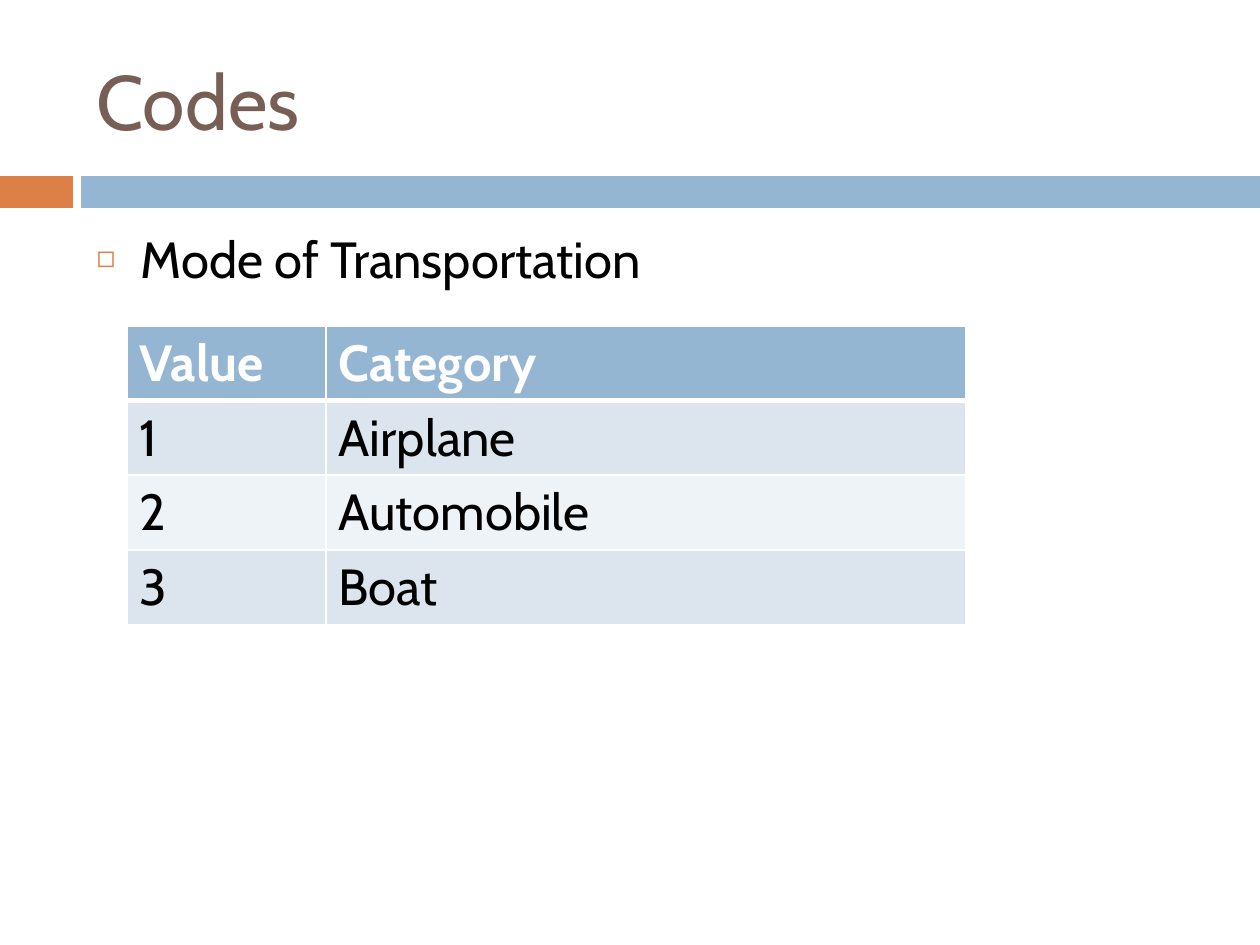
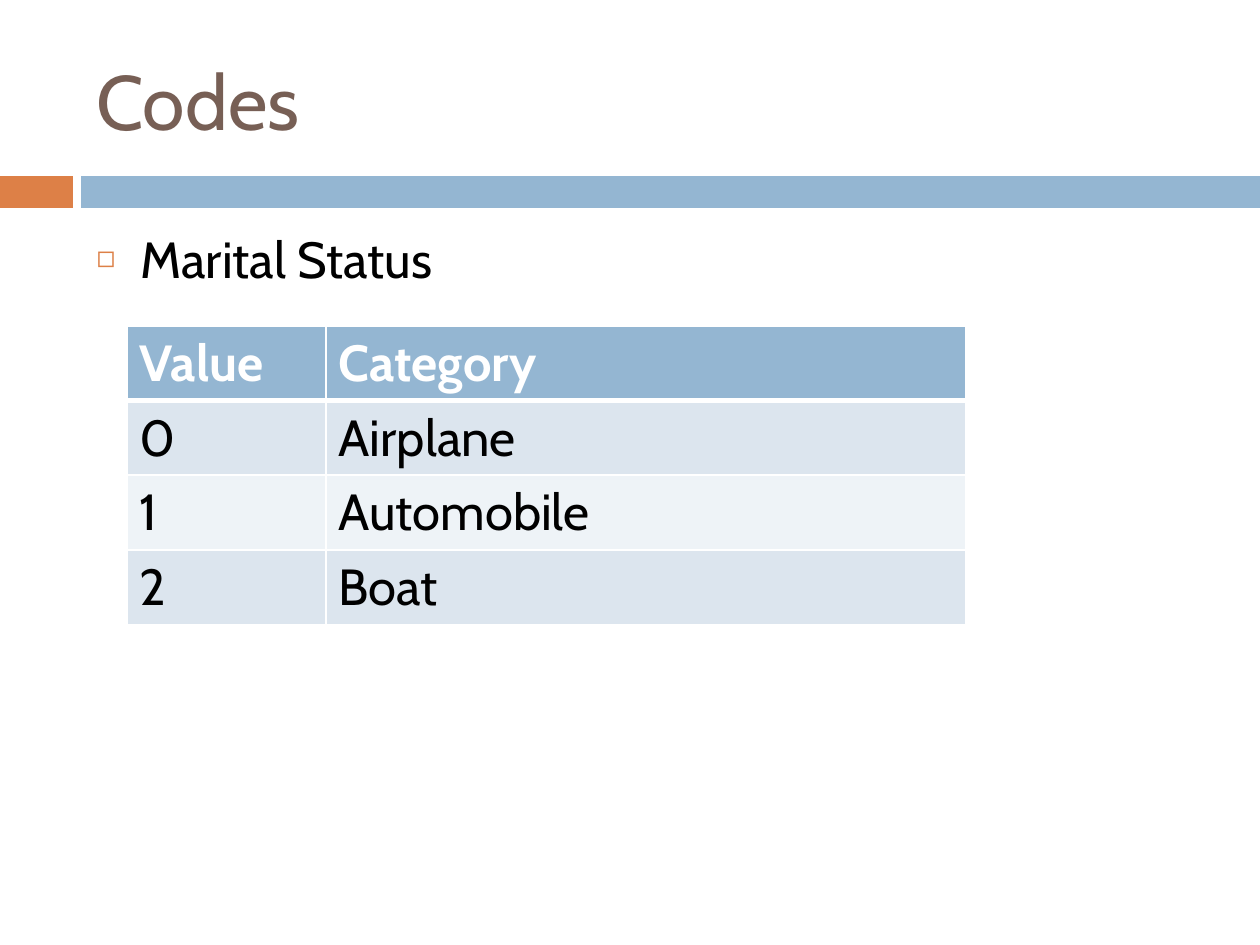
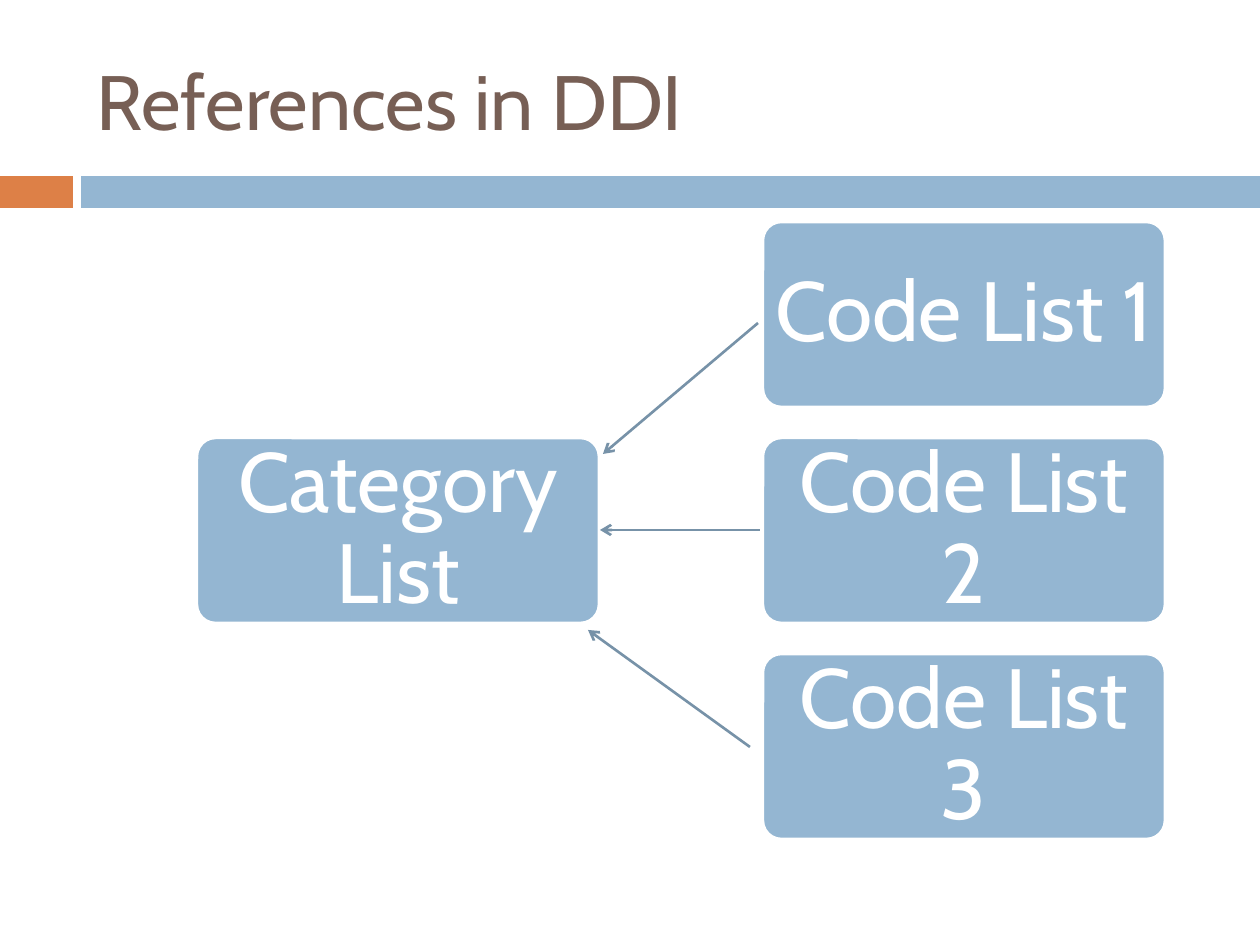
from lxml import etree
from pptx import Presentation
from pptx.dml.color import RGBColor
from pptx.enum import shapes, text
from pptx.oxml import parse_xml
from pptx.oxml.ns import nsdecls, qn
from pptx.util import Pt

PX = 7257  # EMU in one px, at 126 px to the inch
FONT = "Cabin"
BLUE, ORANGE, BROWN = "94B6D2", "DD8047", "775F55"
WHITE, BLACK, ARROW = "FFFFFF", "000000", "7792A8"
ROW_TINTS = ["EEF3F7", "DCE5EE"]
BANDS = [(0, 73, ORANGE), (81, 1179, BLUE)]


def paint(fill, colour):
    fill.solid()
    fill.fore_color.rgb = RGBColor.from_string(colour)


def write(frame, words, size=29, colour=BLACK, bold=False,
          align=text.PP_ALIGN.LEFT, anchor=text.MSO_ANCHOR.TOP, spacing=1.0):
    """Fill a text frame with one formatted paragraph and return it."""
    frame.word_wrap = True
    frame.auto_size = text.MSO_AUTO_SIZE.NONE
    frame.vertical_anchor = anchor
    paragraph = frame.paragraphs[0]
    paragraph.alignment = align
    paragraph.line_spacing = spacing
    paragraph.space_before = Pt(0)
    run = paragraph.add_run()
    run.text = words
    run.font.name, run.font.size, run.font.bold = FONT, Pt(size), bold
    paint(run.font.fill, colour)
    return paragraph


deck = Presentation()
deck.slide_width, deck.slide_height = 1260 * PX, 945 * PX
LIST_LAYOUT, TITLE_LAYOUT = deck.slide_layouts[1], deck.slide_layouts[5]

# Titles and bands on every slide
for heading, layout in [("Codes", LIST_LAYOUT), ("Codes", LIST_LAYOUT),
                        ("References in DDI", TITLE_LAYOUT)]:
    slide = deck.slides.add_slide(layout)
    for left, width, colour in BANDS:
        band = slide.shapes.add_shape(shapes.MSO_SHAPE.RECTANGLE,
                                      left * PX, 176 * PX, width * PX, 32 * PX)
        band.shadow.inherit = False
        band.line.fill.background()
        paint(band.fill, colour)
    title = slide.shapes.title
    title.left, title.top, title.width, title.height = 84 * PX, 32 * PX, 1124 * PX, 136 * PX
    write(title.text_frame, heading, size=44, colour=BROWN, anchor=text.MSO_ANCHOR.MIDDLE)

# Code tables: the same categories, numbered from 1 and from 0
categories = ["Airplane", "Automobile", "Boat"]
for slide, variable, first_code in zip(deck.slides, ["Mode of Transportation", "Marital Status"], [1, 0]):
    body = slide.placeholders[1]
    body.left, body.top, body.width, body.height = 84 * PX, 221 * PX, 1124 * PX, 620 * PX
    props = write(body.text_frame, variable)._p.get_or_add_pPr()
    props.set("marL", str(44 * PX))
    props.set("indent", str(-44 * PX))
    for bullet in [f'<a:buClr {nsdecls("a")}><a:srgbClr val="{ORANGE}"/></a:buClr>',
                   f'<a:buSzPct {nsdecls("a")} val="60000"/>',
                   f'<a:buChar {nsdecls("a")} char="◻"/>']:
        props.append(parse_xml(bullet))

    rows = [("Value", "Category")]
    rows += [(str(code), category) for code, category in enumerate(categories, first_code)]
    codes = slide.shapes.add_table(len(rows), 2, 127 * PX, 326 * PX, 839 * PX, 296 * PX).table
    codes.columns[0].width, codes.columns[1].width = 199 * PX, 640 * PX
    for r, row in enumerate(rows):
        codes.rows[r].height = 74 * PX
        for c, words in enumerate(row):
            cell = codes.cell(r, c)
            header = r == 0
            write(cell.text_frame, words, colour=WHITE if header else BLACK, bold=header)
            borders = {"lnL": 1, "lnR": 1, "lnT": 3 if r == 1 else 1, "lnB": 3 if header else 1}
            for side, points in borders.items():
                cell._tc.get_or_add_tcPr().append(parse_xml(
                    f'<a:{side} {nsdecls("a")} w="{Pt(points)}"><a:solidFill>'
                    f'<a:srgbClr val="{WHITE}"/></a:solidFill></a:{side}>'))
            paint(cell.fill, BLUE if header else ROW_TINTS[r % 2])

# Code lists that refer to one category list
references = deck.slides[2].shapes
lists = [("Category List", 197, 438)]
lists += [(f"Code List {n + 1}", 763, 222 + 216 * n) for n in range(3)]
for words, left, top in lists:
    box = references.add_shape(shapes.MSO_SHAPE.ROUNDED_RECTANGLE,
                               left * PX, top * PX, 402 * PX, 185 * PX)
    box.adjustments[0] = 0.1
    box.shadow.inherit = False
    paint(box.fill, BLUE)
    paint(box.line.fill, WHITE)
    box.line.width = Pt(1.5)
    frame = box.text_frame
    frame.margin_left = frame.margin_right = frame.margin_top = frame.margin_bottom = 5 * PX
    write(frame, words, size=48, colour=WHITE, align=text.PP_ALIGN.CENTER,
          anchor=text.MSO_ANCHOR.MIDDLE, spacing=0.9)

for start_x, start_y, end_x, end_y in [(758, 323, 603, 454), (760, 530, 600, 530), (750, 747, 588, 630)]:
    arrow = references.add_connector(shapes.MSO_CONNECTOR.STRAIGHT,
                                     start_x * PX, start_y * PX, end_x * PX, end_y * PX)
    paint(arrow.line.fill, ARROW)
    arrow.line.width = Pt(1.5)
    etree.SubElement(arrow.line._get_or_add_ln(), qn("a:tailEnd"), type="arrow")
    etree.SubElement(arrow._element.spPr, qn("a:effectLst"))

deck.save("out.pptx")
